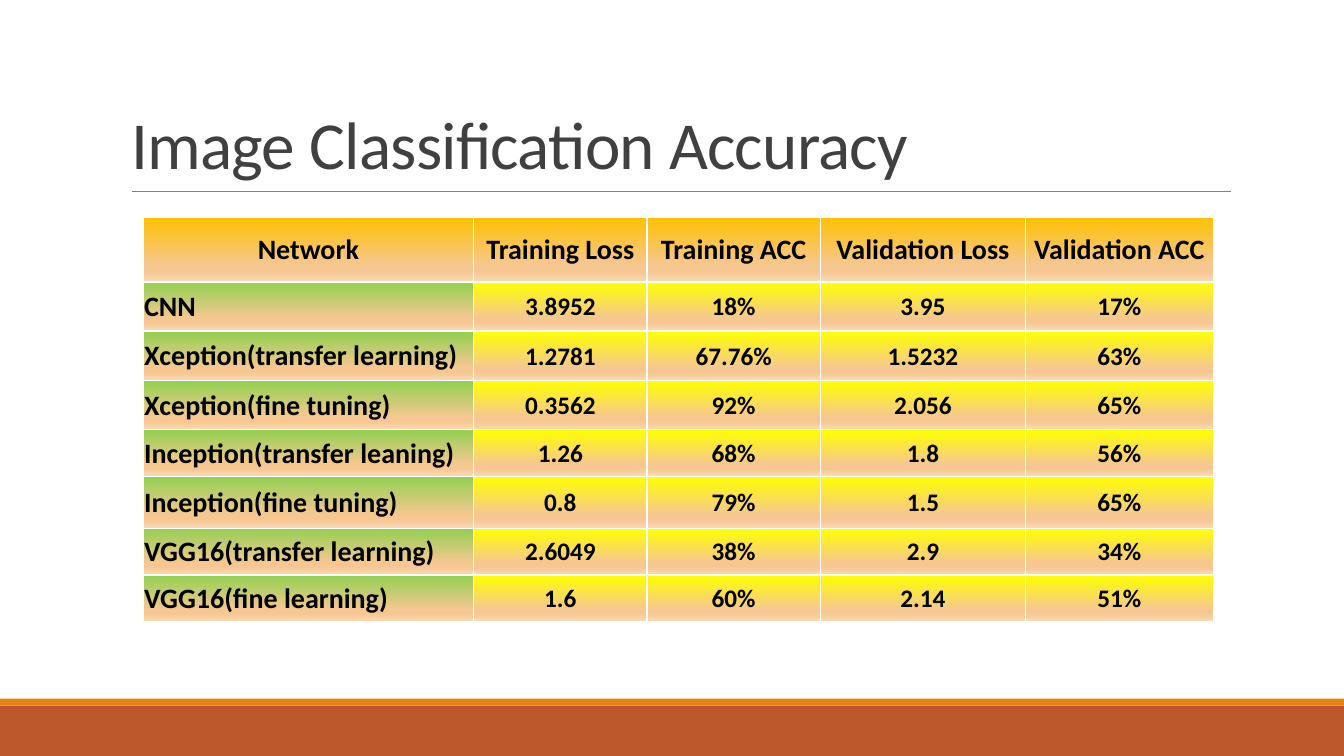
from lxml import etree
from pptx import Presentation
from pptx.dml.color import RGBColor
from pptx.enum.shapes import MSO_CONNECTOR, MSO_SHAPE
from pptx.enum.text import MSO_ANCHOR, MSO_AUTO_SIZE, PP_ALIGN
from pptx.oxml.ns import qn
from pptx.util import Pt

RECT, STRAIGHT = MSO_SHAPE.RECTANGLE, MSO_CONNECTOR.STRAIGHT
LEFT, CENTER = PP_ALIGN.LEFT, PP_ALIGN.CENTER
MIDDLE, BOTTOM = MSO_ANCHOR.MIDDLE, MSO_ANCHOR.BOTTOM
NO_FIT = MSO_AUTO_SIZE.NONE

COLORS = {
    "title": "404040", "text": "000000", "rule": "808080", "border": "FFFFFF",
    "band": "BD582C", "stripe": "E48312",
    "header": "FFC000", "network": "92D050", "value": "FFFF00",
    "peach": "F6C791", "pale": "F9DAB6",
}

RESULTS = [
    ["Network", "Training Loss", "Training ACC", "Validation Loss", "Validation ACC"],
    ["CNN", "3.8952", "18%", "3.95", "17%"],
    ["Xception(transfer learning)", "1.2781", "67.76%", "1.5232", "63%"],
    ["Xception(fine tuning)", "0.3562", "92%", "2.056", "65%"],
    ["Inception(transfer leaning)", "1.26", "68%", "1.8", "56%"],
    ["Inception(fine tuning)", "0.8", "79%", "1.5", "65%"],
    ["VGG16(transfer learning)", "2.6049", "38%", "2.9", "34%"],
    ["VGG16(fine learning)", "1.6", "60%", "2.14", "51%"],
]
COL_WIDTHS = [236.2, 123.8, 123.8, 146.6, 134]
ROW_HEIGHTS = [46.5, 34.9, 35.7, 34.9, 33.3, 37.2, 33.3, 33.3]


def rgb(name):
    return RGBColor.from_string(COLORS[name])


def add_color(parent, name):
    etree.SubElement(parent, qn("a:srgbClr"), val=COLORS[name])


class SlideBuilder:
    font = "Calibri"

    def __init__(self, slide):
        self.s = slide

    def style(self, p, size, color, align, bold=False):
        p.alignment = align
        p.font.name, p.font.size, p.font.bold = self.font, Pt(size), bold
        p.font.color.rgb = rgb(color)

    def title(self, text, x, y, w, h):
        sp = self.s.shapes.title
        sp.left, sp.top, sp.width, sp.height = Pt(x), Pt(y), Pt(w), Pt(h)
        tf = sp.text_frame
        tf.text = text
        tf.word_wrap, tf.auto_size, tf.vertical_anchor = True, NO_FIT, BOTTOM
        p = tf.paragraphs[0]
        p.line_spacing = 0.85
        self.style(p, 48, "title", LEFT)
        p.runs[0].font._element.set("spc", "-50")

    def bar(self, x, y, w, h, color):
        sp = self.s.shapes.add_shape(RECT, Pt(x), Pt(y), Pt(w), Pt(h))
        sp.shadow.inherit = False
        sp.fill.solid()
        sp.fill.fore_color.rgb = rgb(color)
        sp.line.fill.background()

    def rule(self, x1, x2, y, color, width):
        line = self.s.shapes.add_connector(STRAIGHT, Pt(x1), Pt(y), Pt(x2), Pt(y))
        line.line.color.rgb = rgb(color)
        line.line.width = Pt(width)
        etree.SubElement(line._element.spPr, qn("a:effectLst"))

    def table(self, rows, x, y, widths, heights):
        frame = self.s.shapes.add_table(len(rows), len(widths), Pt(x), Pt(y),
                                        Pt(sum(widths)), Pt(sum(heights)))
        table = frame.table
        table.horz_banding = False
        for column, width in zip(table.columns, widths):
            column.width = Pt(width)
        for i, (row, height) in enumerate(zip(rows, heights)):
            table.rows[i].height = Pt(height)
            for j, text in enumerate(row):
                kind = "header" if i == 0 else "network" if j == 0 else "value"
                self.cell(table.cell(i, j), text, kind)

    def cell(self, cell, text, kind):
        cell.text = text
        cell.vertical_anchor = MIDDLE
        cell.margin_left = cell.margin_right = cell.margin_top = Pt(0.72)
        cell.margin_bottom = 0
        self.style(cell.text_frame.paragraphs[0], 18 if kind == "value" else 20,
                   "text", LEFT if kind == "network" else CENTER, True)
        # Borders come before the fill in the cell properties
        props = cell._tc.get_or_add_tcPr()
        for side in ("lnL", "lnR", "lnT", "lnB"):
            ln = etree.SubElement(props, qn(f"a:{side}"), w=str(Pt(1)))
            add_color(etree.SubElement(ln, qn("a:solidFill")), "border")
        # Vertical gradient from the cell's own colour down to peach
        grad = etree.SubElement(props, qn("a:gradFill"), rotWithShape="1")
        stops = etree.SubElement(grad, qn("a:gsLst"))
        for pos, name in ((0, kind), (74, "peach"), (83, "peach"), (100, "pale")):
            add_color(etree.SubElement(stops, qn("a:gs"), pos=str(pos * 1000)), name)
        etree.SubElement(grad, qn("a:lin"), ang="5400000", scaled="1")


def main():
    prs = Presentation()
    prs.slide_width, prs.slide_height = Pt(960), Pt(540)
    slide = SlideBuilder(prs.slides.add_slide(prs.slide_layouts[5]))

    # Footer bands and title rule
    slide.bar(0, 504, 960, 36, "band")
    slide.bar(0, 499, 960, 5, "stripe")
    slide.rule(94.3, 879, 136.8, "rule", 0.5)

    # Title and results
    slide.title("Image Classification Accuracy", 86.4, 22.5, 792, 112.3)
    slide.table(RESULTS, 102.2, 155, COL_WIDTHS, ROW_HEIGHTS)

    prs.save("out.pptx")


if __name__ == "__main__":
    main()
